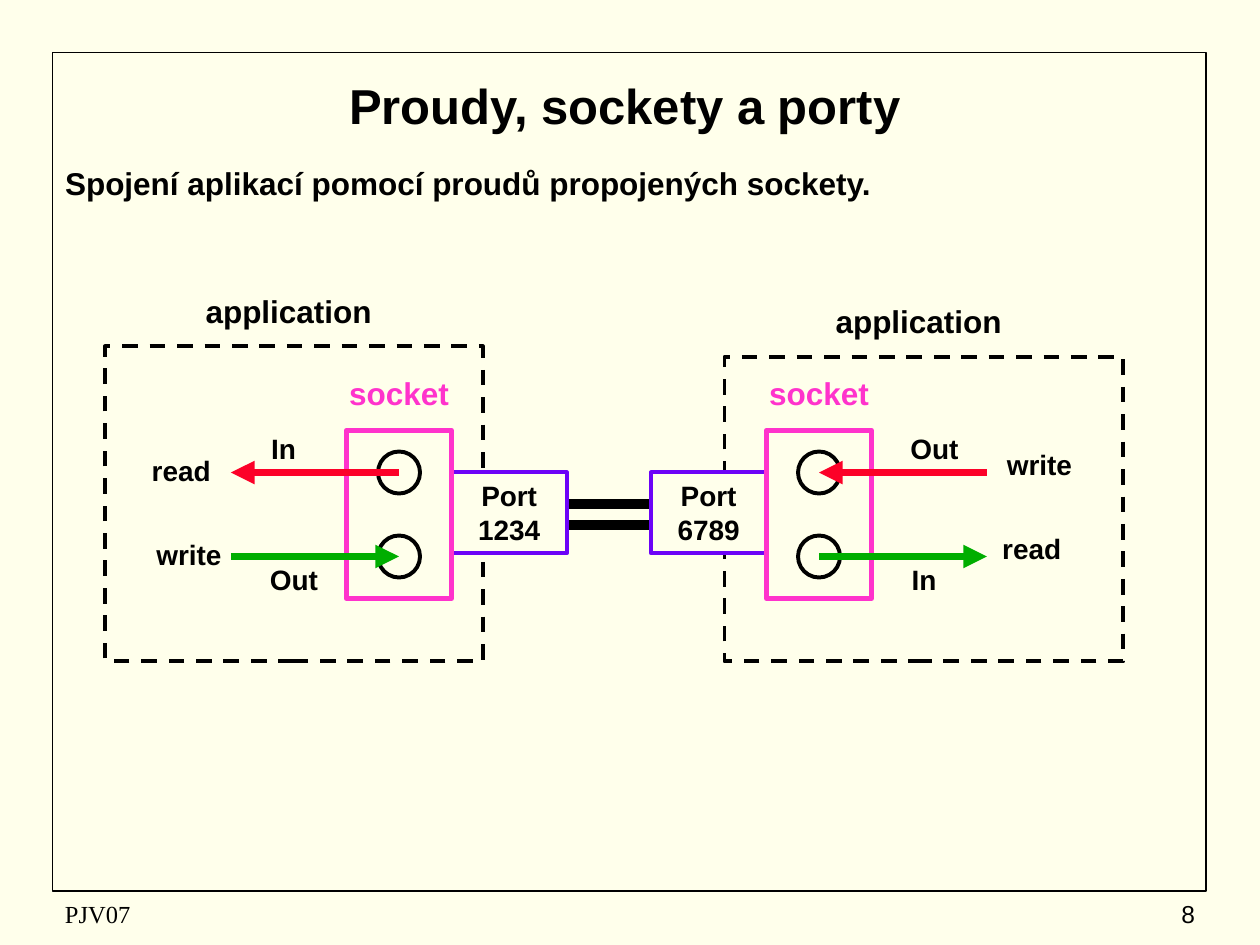
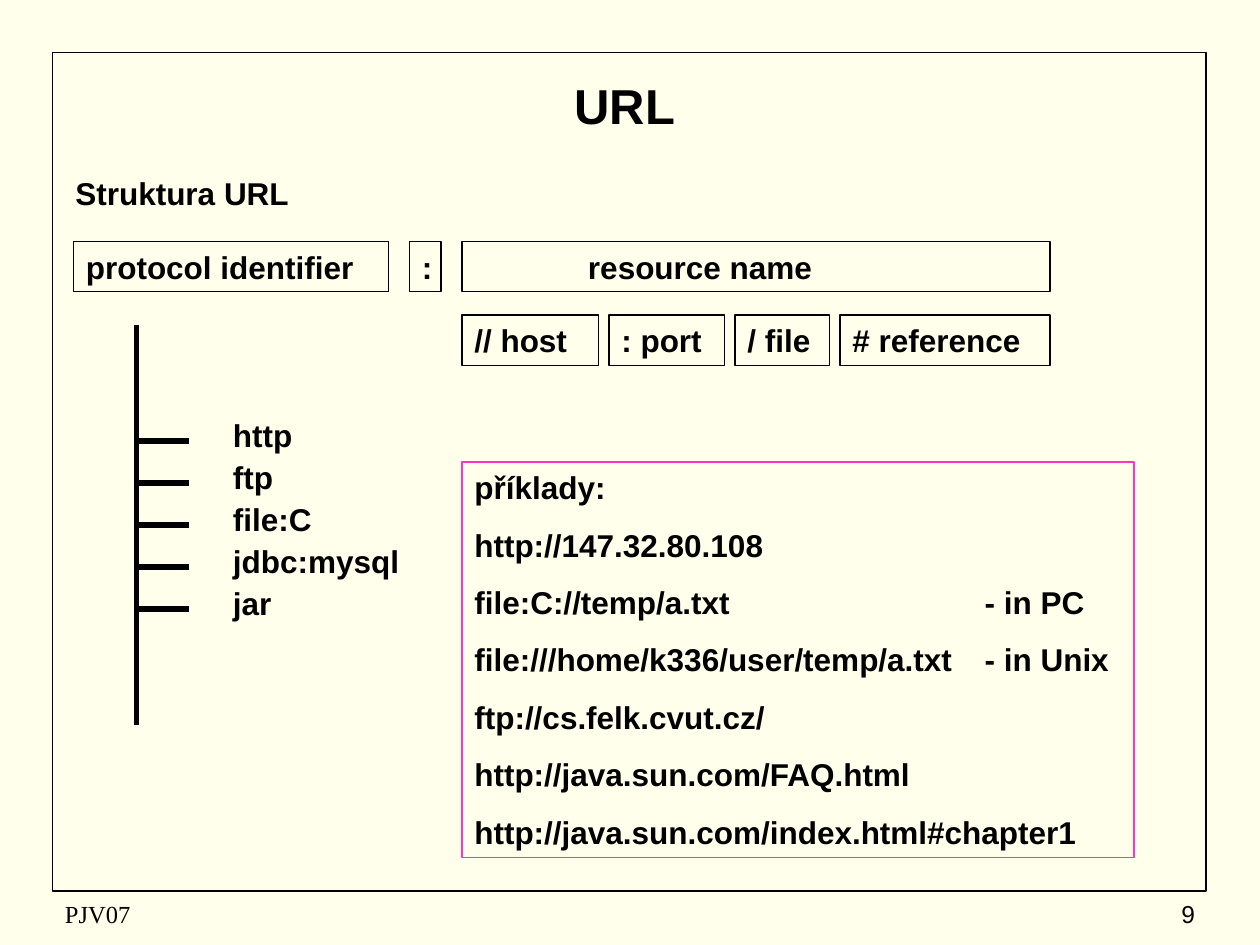
from lxml import etree
from pptx import Presentation, util as u
from pptx.dml.color import RGBColor
from pptx.enum import dml, shapes, text
from pptx.oxml.ns import qn

CREAM = RGBColor(0xFF, 0xFF, 0xEB)
BLACK = RGBColor(0, 0, 0)
PINK = RGBColor(0xFF, 0x33, 0xCC)
VIOLET = RGBColor(0x6C, 0x03, 0xF7)
RED = RGBColor(0xFC, 0x01, 0x28)
GREEN = RGBColor(0, 0xAE, 0)

WIDTH, HEIGHT = u.Inches(10), u.Inches(7.5)
COLS, ROWS = 120, 90
LEFT, CENTER, RIGHT = text.PP_ALIGN.LEFT, text.PP_ALIGN.CENTER, text.PP_ALIGN.RIGHT
TOP, MIDDLE = text.MSO_ANCHOR.TOP, text.MSO_ANCHOR.MIDDLE
RECT, OVAL = shapes.MSO_SHAPE.RECTANGLE, shapes.MSO_SHAPE.OVAL
ROW_H = 4.8


def grid(*lengths):
    """Turn alternating columns and rows into slide lengths."""
    steps = (WIDTH / COLS, HEIGHT / ROWS)
    return [round(n * steps[i % 2]) for i, n in enumerate(lengths)]


def write(sp, lines, size=18, bold=True, color=BLACK, font="Arial", align=LEFT,
          anchor=TOP, gap=0, tab=None, inset=None):
    """Fill a shape with paragraphs; gap is in points, tab in inches, inset in columns."""
    tf = sp.text_frame
    tf.word_wrap, tf.vertical_anchor = True, anchor
    tf.auto_size = text.MSO_AUTO_SIZE.NONE
    if inset:
        tf.margin_left = grid(inset)[0]
    for i, line in enumerate(lines.split("\n")):
        p = tf.add_paragraph() if i else tf.paragraphs[0]
        p.alignment, p.space_before = align, u.Pt(gap if i else 0)
        pPr = p._p.get_or_add_pPr()
        if sp.is_placeholder:
            pPr.set("marL", "0")
            pPr.set("indent", "0")
            etree.SubElement(pPr, qn("a:buNone"))
        if tab:
            tabs = etree.SubElement(pPr, qn("a:tabLst"))
            etree.SubElement(tabs, qn("a:tab"), pos=str(u.Inches(tab)), algn="l")
        r = p.add_run()
        r.text = line
        r.font.size, r.font.bold, r.font.name = u.Pt(size), bold, font
        r.font.color.rgb = color
    return sp


def label(s, box, words, **fmt):
    return write(s.shapes.add_textbox(*grid(*box)), words, **fmt)


def centered(s, cx, top, width, words, **fmt):
    return label(s, (cx - width / 2, top, width, ROW_H), words, align=CENTER, **fmt)


def outline(s, box, color=BLACK, width=0.75, fill=None, kind=RECT, dashed=False):
    sp = s.shapes.add_shape(kind, *grid(*box))
    sp.shadow.inherit = False
    if fill is None:
        sp.fill.background()
    else:
        sp.fill.solid()
        sp.fill.fore_color.rgb = fill
    sp.line.color.rgb, sp.line.width = color, u.Pt(width)
    if dashed:
        sp.line.dash_style = dml.MSO_LINE.DASH
    return sp


def connect(s, start, end, color=BLACK, width=3, arrow=False):
    c = s.shapes.add_connector(shapes.MSO_CONNECTOR.STRAIGHT, *grid(*start, *end))
    c.line.color.rgb, c.line.width = color, u.Pt(width)
    if arrow:
        etree.SubElement(c.line._get_or_add_ln(), qn("a:tailEnd"), type="triangle")
    etree.SubElement(c._element.spPr, qn("a:effectLst"))


def place(sp, box):
    sp.left, sp.top, sp.width, sp.height = grid(*box)
    return sp


def base_slide(prs, layout, title, number):
    s = prs.slides.add_slide(prs.slide_layouts[layout])
    outline(s, (5, 5, 109.9, 79.9), width=1)
    label(s, (5, 85, 38, 4), "PJV07", size=14, bold=False, font="Times New Roman",
          anchor=MIDDLE)
    label(s, (90, 85, 25, 4), str(number), size=14, bold=False, align=RIGHT, anchor=MIDDLE)
    write(place(s.shapes.title, (6, 6, 107, 8)), title, size=28, align=CENTER, anchor=MIDDLE)
    return s


def application(s, box):
    x, y, w, _ = box
    outline(s, box, width=2.25, dashed=True)
    centered(s, x + w / 2 - 0.5, y - 5.8, 19, "application")


def port(s, box, number):
    write(outline(s, box, VIOLET, 2.25, CREAM), f"Port\n{number}", size=16, align=CENTER)


def socket(s, box, streams):
    """Draw a socket with its streams.

    A stream is (color, incoming, reach, name, operation); each of the last
    two is (words, centre from the socket's centre, top from the box's top).
    """
    x, y, w, h = box
    cx = x + w / 2
    outline(s, box, PINK, 3, CREAM)
    centered(s, cx, y - 6, 16, "socket", color=PINK)
    for i, (color, incoming, reach, *captions) in enumerate(streams):
        cy = y + h / 4 + i * h / 2
        outline(s, (cx - 2, cy - 2, 4, 4), width=2.25, fill=CREAM, kind=OVAL)
        hole, far = (cx, cy), (cx + reach, cy)
        start, end = (far, hole) if incoming else (hole, far)
        connect(s, start, end, color, 4.5, arrow=True)
        for words, dx, dy in captions:
            centered(s, cx + dx, y + dy, 10, words, size=16)


def socket_slide(prs):
    s = base_slide(prs, 1, "Proudy, sockety a porty", 8)
    write(place(s.placeholders[1], (5, 15, 110, 70)),
          "Spojení aplikací pomocí proudů propojených sockety.")
    application(s, (69, 34, 38, 29))
    application(s, (10, 33, 36, 30))
    for y in (48, 50):
        connect(s, (50, y), (66, y), width=6)
    port(s, (43, 45, 11, 7.7), 1234)
    port(s, (62, 45, 11, 7.7), 6789)
    socket(s, (33, 41, 10, 16), [
        (RED, False, -16, ("In", -11, -0.5), ("read", -20.75, 1.6)),
        (GREEN, True, -16, ("Out", -10, 12), ("write", -20, 9.6))])
    socket(s, (73, 41, 10, 16), [
        (RED, True, 16, ("Out", 11, -0.5), ("write", 21, 1)),
        (GREEN, False, 16, ("In", 10, 12), ("read", 20.25, 9))])


def part_row(s, left, top, gap, parts):
    """Lay boxes side by side; a part is (words, width, left inset)."""
    for words, width, inset in parts:
        write(outline(s, (left, top, width, ROW_H)), words, inset=inset)
        left += width + gap


def protocol_tree(s, box, names, first=11, step=4):
    x, y, w, h = box
    connect(s, (x, y), (x, y + h))
    for i, name in enumerate(names):
        branch = y + first + i * step
        connect(s, (x, branch), (x + w, branch))
        label(s, (x + w + 3, branch - 3, 21, ROW_H), name)


def examples(s, box, lines):
    write(outline(s, box, PINK, fill=CREAM), "\n".join(lines), gap=11.2, tab=4.05)


def url_slide(prs):
    s = base_slide(prs, 5, "URL", 9)
    label(s, (6, 16, 47, ROW_H), "Struktura URL")
    part_row(s, 7, 23, 2, [("protocol identifier", 30, None), (":", 3, None),
                           ("resource name", 56, 12)])
    part_row(s, 44, 30, 1, [("// host", 13, None), (": port", 11, None),
                            ("/ file", 9, None), ("# reference", 20, None)])
    protocol_tree(s, (13, 31, 5, 38), ["http", "ftp", "file:C", "jdbc:mysql", "jar"])
    examples(s, (44, 44, 64, 37.7), [
        "příklady:",
        "http://147.32.80.108",
        "file:C://temp/a.txt\t- in PC",
        "file:///home/k336/user/temp/a.txt\t- in Unix",
        "ftp://cs.felk.cvut.cz/",
        "http://java.sun.com/FAQ.html",
        "http://java.sun.com/index.html#chapter1"])


def main():
    prs = Presentation()
    prs.slide_width, prs.slide_height = WIDTH, HEIGHT
    fill = prs.slide_master.background.fill
    fill.solid()
    fill.fore_color.rgb = CREAM
    socket_slide(prs)
    url_slide(prs)
    prs.save("out.pptx")


if __name__ == "__main__":
    main()
